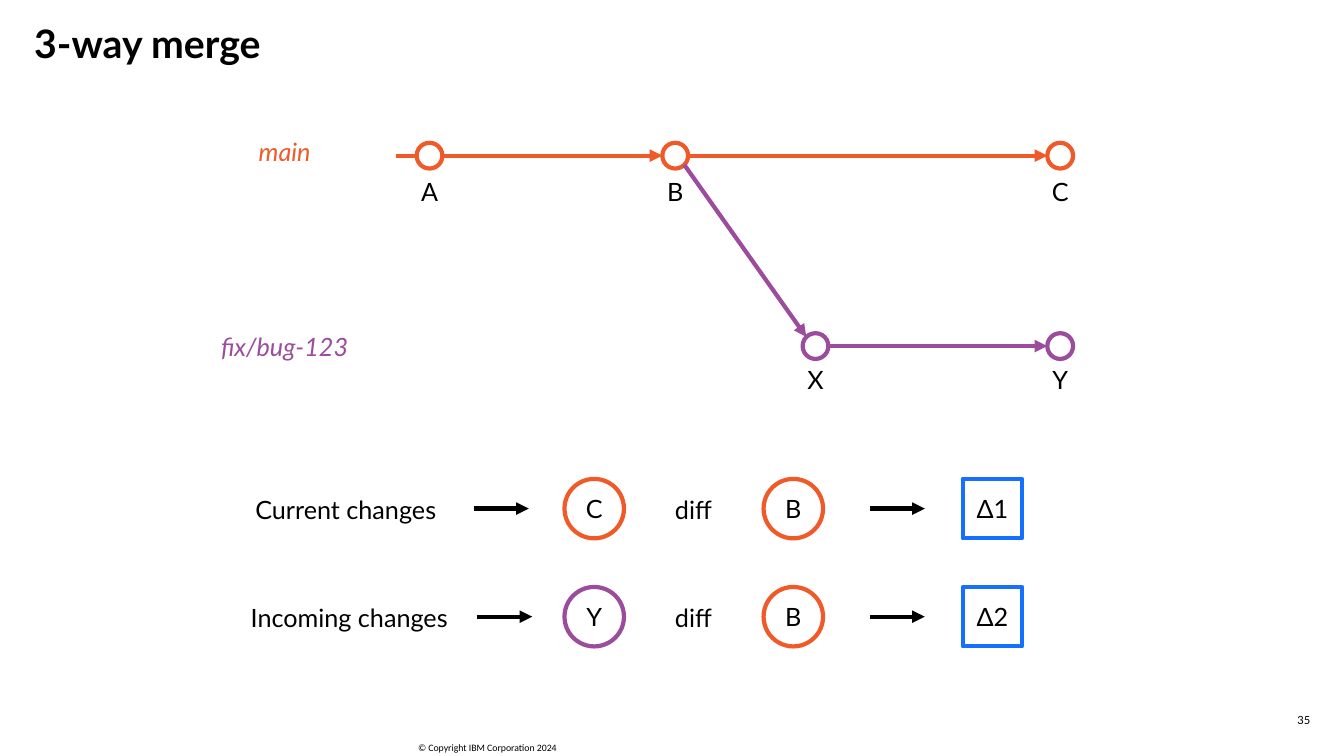
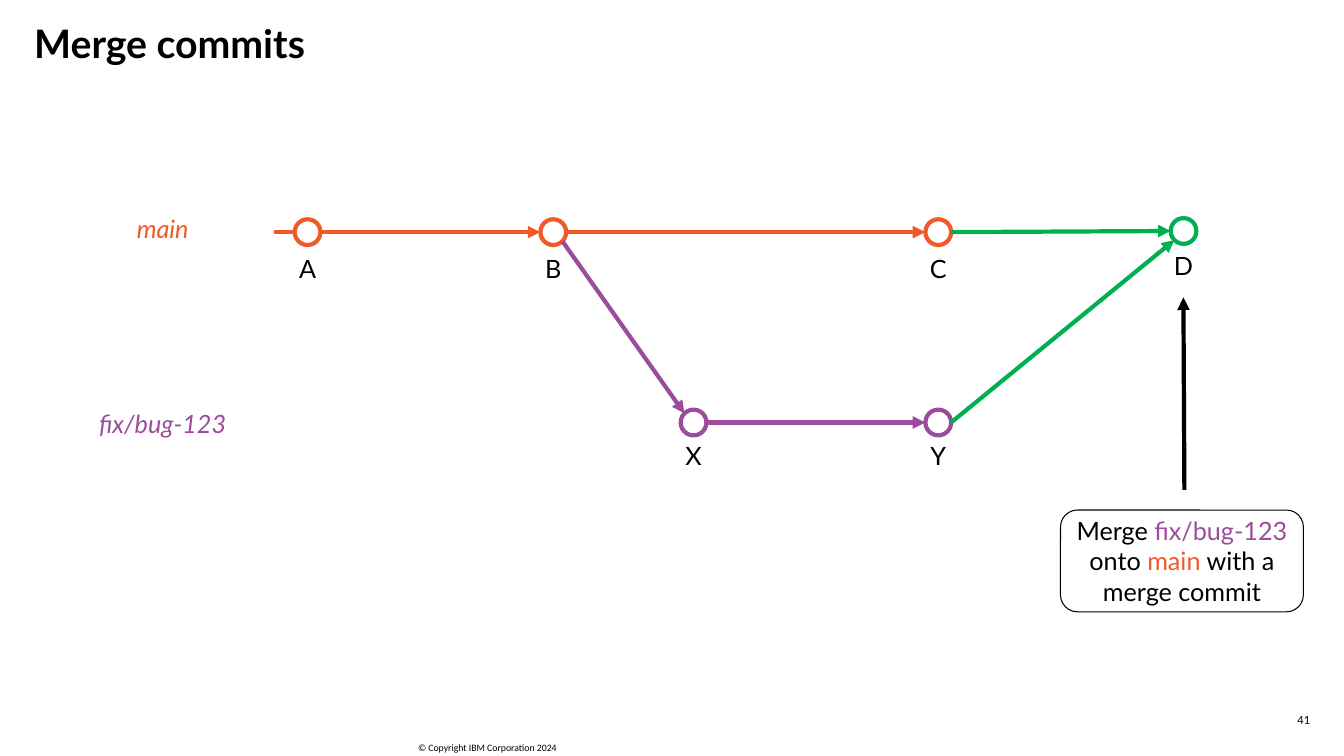
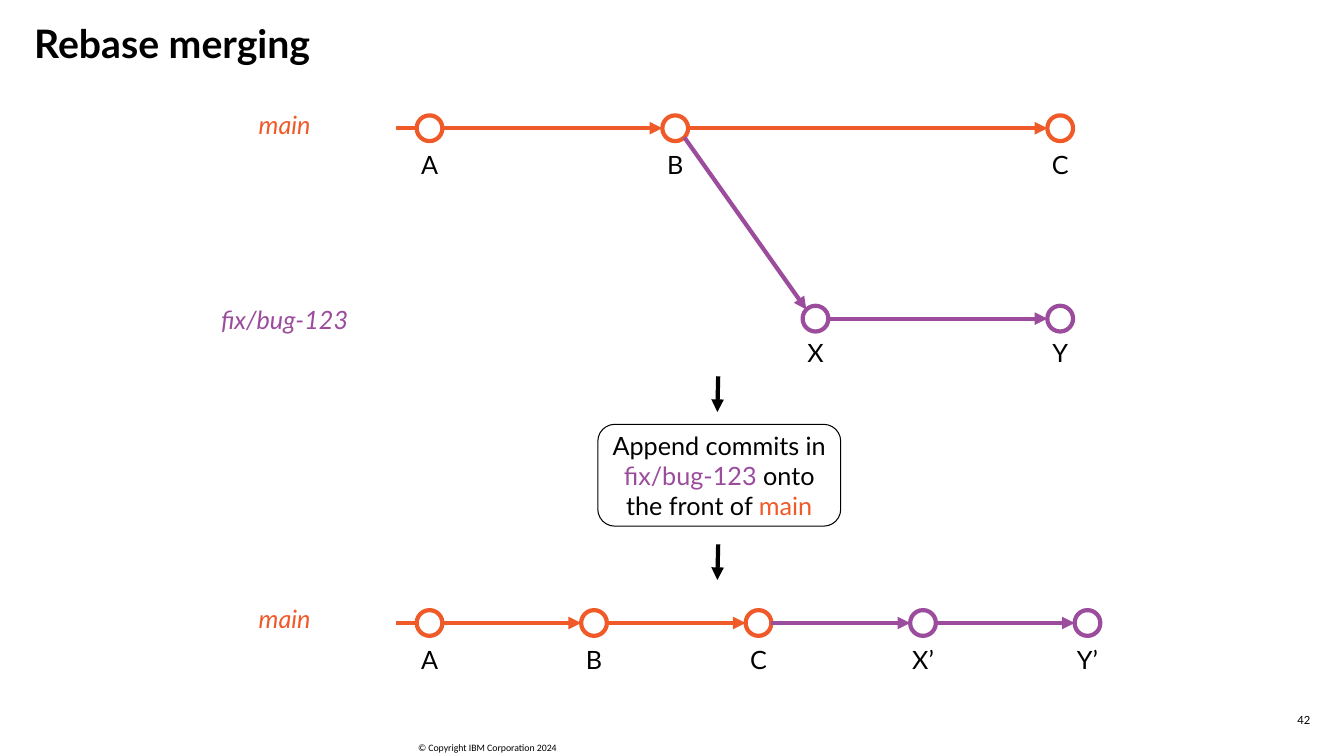
from dataclasses import dataclass

from lxml.etree import SubElement
from pptx import Presentation
from pptx.dml.color import RGBColor
from pptx.enum.shapes import MSO_CONNECTOR as Connector, MSO_SHAPE as Shape
from pptx.enum.text import MSO_ANCHOR as Anchor, PP_ALIGN as Align
from pptx.oxml.ns import qn
from pptx.util import Pt

BLACK = RGBColor(0x00, 0x00, 0x00)
ORANGE = RGBColor(0xF0, 0x5A, 0x28)
PURPLE = RGBColor(0x9B, 0x4C, 0x9C)
GREEN = RGBColor(0x00, 0xB0, 0x50)
BLUE = RGBColor(0x16, 0x70, 0xFF)

FONT = "Lato"
STROKE = 3
RADIUS = 9.2
CORNER = RADIUS * 0.71
INSETS = (7.2, 3.6)
LABEL_HEIGHT = 28.8
LANE_LABEL_WIDTH = 110
STUB_X = 134.7
FIRST_X = 158.5


@dataclass
class Commit:
    name: str
    x: float
    y: float
    color: RGBColor
    label_gap: float = 11.5

    def at(self, across, down):
        reach = CORNER if across and down else RADIUS
        return self.x + across * reach, self.y + down * reach


def set_text(frame, text, *, size=18, color=BLACK, font=FONT, bold=False,
             italic=False, align=Align.CENTER, anchor=Anchor.TOP,
             insets=INSETS, spacing=None):
    frame.word_wrap = True
    frame.vertical_anchor = anchor
    frame.margin_left = frame.margin_right = Pt(insets[0])
    frame.margin_top = frame.margin_bottom = Pt(insets[1])
    paragraph = frame.paragraphs[0]
    paragraph.alignment = align
    if spacing:
        paragraph.line_spacing = spacing
    pieces = [(text, color)] if isinstance(text, str) else text
    for words, shade in pieces:
        run = paragraph.add_run()
        run.text = words
        run.font.name = font
        run.font.size = Pt(size)
        run.font.bold = bold
        run.font.italic = italic
        run.font.color.rgb = shade


def add_text(slide, left, top, width, height, text, **style):
    box = slide.shapes.add_textbox(Pt(left), Pt(top), Pt(width), Pt(height))
    set_text(box.text_frame, text, **style)


def add_outline(slide, kind, left, top, width, height, color, weight=STROKE):
    shape = slide.shapes.add_shape(kind, Pt(left), Pt(top), Pt(width), Pt(height))
    shape.shadow.inherit = False
    shape.fill.background()
    shape.line.color.rgb = color
    shape.line.width = Pt(weight)
    return shape


def add_line(slide, start, end, color=BLACK, arrow=True):
    line = slide.shapes.add_connector(
        Connector.STRAIGHT, *(Pt(value) for value in (*start, *end)))
    line.line.color.rgb = color
    line.line.width = Pt(STROKE)
    properties = line._element.spPr
    if arrow:
        SubElement(properties.find(qn("a:ln")), qn("a:tailEnd"), type="triangle")
    SubElement(properties, qn("a:effectLst"))


def add_frame(presentation, title, number):
    slide = presentation.slides.add_slide(presentation.slide_layouts[6])
    add_text(slide, 291.6, 526.3, 127.4, 15.8, "© Copyright IBM Corporation 2024",
             size=7, font="Calibri", align=Align.LEFT)
    add_text(slide, 24.5, 17.3, 801, 31, title, size=28, bold=True,
             align=Align.LEFT, insets=(0, 0), spacing=0.9)
    add_text(slide, 720, 507, 216, 14.4, str(number), size=8,
             align=Align.RIGHT, anchor=Anchor.MIDDLE, insets=(0, 0))
    return slide


def draw_commit(slide, commit):
    add_outline(slide, Shape.OVAL, *commit.at(-1, 0)[:1], commit.at(0, -1)[1],
                2 * RADIUS, 2 * RADIUS, commit.color)
    width = 32.4
    add_text(slide, commit.x - width / 2, commit.y + commit.label_gap,
             width, LABEL_HEIGHT, commit.name)


def draw_lane(slide, commits):
    for commit in commits:
        draw_commit(slide, commit)
    for source, target in zip(commits, commits[1:]):
        add_line(slide, source.at(1, 0), target.at(-1, 0), target.color)


def draw_main_start(slide, left, y, first):
    add_text(slide, left, y - 17.3, LANE_LABEL_WIDTH, LABEL_HEIGHT,
             "main", color=ORANGE, italic=True)
    add_line(slide, (left + STUB_X, y), first.at(-1, 0), ORANGE, arrow=False)


def draw_branches(slide, left, y):
    fix_y = y + 136
    main = [Commit(name, left + x, y, ORANGE)
            for name, x in (("A", FIRST_X), ("B", 334), ("C", 609))]
    fix = [Commit(name, left + x, fix_y, PURPLE, 9.5)
           for name, x in (("X", 434.2), ("Y", 609))]
    draw_main_start(slide, left, y, main[0])
    add_text(slide, left, fix_y - 14, LANE_LABEL_WIDTH, LABEL_HEIGHT,
             "fix/bug-123", color=PURPLE, italic=True)
    draw_lane(slide, main)
    draw_lane(slide, fix)
    add_line(slide, main[1].at(1, 1), fix[0].at(-1, -1), PURPLE)
    return main[-1], fix[-1]


def draw_rebased(slide, left, y):
    names = (("A", ORANGE), ("B", ORANGE), ("C", ORANGE),
             ("X’", PURPLE), ("Y’", PURPLE))
    commits = [Commit(name, left + FIRST_X + index * 117.5, y, color)
               for index, (name, color) in enumerate(names)]
    draw_main_start(slide, left, y, commits[0])
    draw_lane(slide, commits)


def draw_diff_row(slide, left, y, caption, shift, operands, result):
    side, step, first = 42.5, 142.2, 238.2
    text_top = y - 14
    add_text(slide, left + shift, text_top, 164, LABEL_HEIGHT, caption)
    symbols = [(Shape.OVAL, *operand) for operand in operands]
    symbols.append((Shape.RECTANGLE, result, BLUE))
    for index, (kind, name, color) in enumerate(symbols):
        symbol = add_outline(slide, kind, left + first + index * step,
                             y - side / 2, side, side, color)
        set_text(symbol.text_frame, name, anchor=Anchor.MIDDLE, insets=(0, 0))
    add_text(slide, left + 308, text_top, 44.6, LABEL_HEIGHT, "diff")
    for arrow_x in (left + 173.5 + shift, left + 456.4):
        add_line(slide, (arrow_x, y), (arrow_x + 39.2, y))


def draw_callout(slide, left, top, text):
    callout = add_outline(slide, Shape.ROUNDED_RECTANGLE, left, top,
                          173.5, 72.7, BLACK, 0.75)
    set_text(callout.text_frame, text, anchor=Anchor.MIDDLE, insets=(3.6, 0))


def build_three_way(presentation):
    slide = add_frame(presentation, "3-way merge", 35)
    draw_branches(slide, 148.3, 111.2)
    rows = (("Current changes", ("C", ORANGE), "Δ1"),
            ("Incoming changes", ("Y", PURPLE), "Δ2"))
    for index, (caption, tip, result) in enumerate(rows):
        draw_diff_row(slide, 165, 363.3 + index * 77.2, caption, index * 2.5,
                      (tip, ("B", ORANGE)), result)


def build_merge_commits(presentation):
    slide = add_frame(presentation, "Merge commits", 41)
    left, y = 61.2, 165.8
    main_tip, fix_tip = draw_branches(slide, left, y)
    merge = Commit("D", left + 784.2, y - 0.8, GREEN, 10.5)
    draw_commit(slide, merge)
    add_line(slide, main_tip.at(1, 0), merge.at(-1, 0), GREEN)
    add_line(slide, fix_tip.at(1, 0), merge.at(-1, 1), GREEN)
    draw_callout(slide, 757.5, 364.3, [
        ("Merge ", BLACK), ("fix/bug-123 ", PURPLE), ("onto ", BLACK),
        ("main", ORANGE), (" with a merge commit", BLACK)])
    add_line(slide, (846, 350), (845.3, 212.4))


def build_rebase(presentation):
    slide = add_frame(presentation, "Rebase merging", 42)
    left = 148.3
    draw_branches(slide, left, 91.6)
    draw_callout(slide, 427, 303.1, [
        ("Append commits in ", BLACK), ("fix/bug-123 ", PURPLE),
        ("onto the front of ", BLACK), ("main", ORANGE)])
    for arrow_y in (268.8, 388.8):
        add_line(slide, (513, arrow_y), (512.4, arrow_y + 25.5))
    draw_rebased(slide, left, 445)


def main():
    presentation = Presentation()
    presentation.slide_width = Pt(960)
    presentation.slide_height = Pt(540)
    build_three_way(presentation)
    build_merge_commits(presentation)
    build_rebase(presentation)
    presentation.save("out.pptx")


if __name__ == "__main__":
    main()
